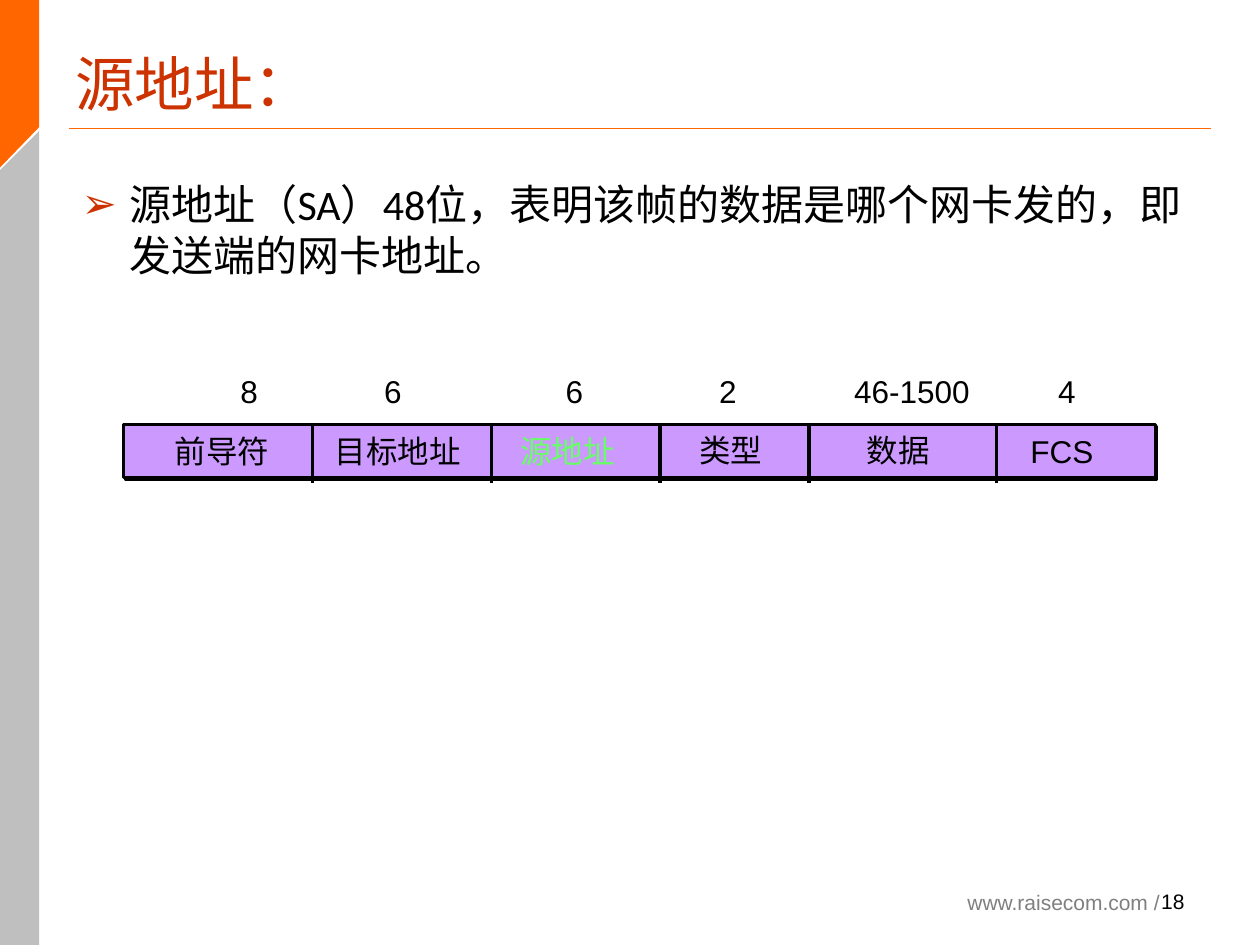
import pptx
import pptx.util
import pptx.dml.color
import pptx.enum.text
import pptx.enum.shapes
import pptx.oxml
import pptx.oxml.ns

TITLE = "源地址："
BODY = "源地址（SA）48位，表明该帧的数据是哪个网卡发的，即发送端的网卡地址。"
SITE = "www.raisecom.com /"
PAGE = "18"

FIELDS = [
    ("前导符", (1.29, 3.38, 0.95), "8", (1.81, 0.34)),
    ("目标地址", (2.56, 3.38, 1.2), "6", (2.95, 0.34)),
    ("源地址", (4.03, 3.38, 0.95), "6", (4.39, 0.34)),
    ("类型", (5.45, 3.37, 0.7), "2", (5.61, 0.34)),
    ("数据", (6.78, 3.37, 0.7), "46-1500", (6.68, 1.15)),
    ("FCS", (8.08, 3.38, 0.7), "4", (8.3, 0.34)),
]
ACTIVE = "源地址"
SPLITS = [2.48, 3.9, 5.24, 6.42, 7.91]
BAR = (0.98, 3.37, 8.19, 0.42)
BANDS = [
    ("gray", [(0, 1.35), (0.31, 1.04), (0.31, 7.5), (0, 7.5)]),
    ("orange", [(0, 1.33), (0.31, 1.01), (0.31, 0), (0, 0)]),
]

THEME = {
    "gray": "BFBFBF", "orange": "FF6600", "red": "CC3300", "site": "7F7F7F",
    "ink": "000000", "bar": "CC99FF", "active": "66FF66",
    "head": 34, "body": 24, "label": 18, "foot": 12,
    "sans": "Arial", "text": "Calibri", "cjk": "Noto Sans CJK SC",
}

Inches = pptx.util.Inches
Pt = pptx.util.Pt
ANCHOR = pptx.enum.text.MSO_ANCHOR
ALIGN = pptx.enum.text.PP_ALIGN
FIT = pptx.enum.text.MSO_AUTO_SIZE

deck = pptx.Presentation()
deck.slide_width, deck.slide_height = Inches(10), Inches(7.5)
slide = deck.slides.add_slide(deck.slide_layouts[6])
shapes = slide.shapes


def tint(name):
    return pptx.dml.color.RGBColor.from_string(THEME[name])


def node(tag, **attrs):
    part = pptx.oxml.parse_xml(f"<{tag} {pptx.oxml.ns.nsdecls('a')}/>")
    for key, value in attrs.items():
        part.set(key, str(value))
    return part


def write(text, box, size="label", color="ink", font="sans", wrap=True,
          anchor=ANCHOR.MIDDLE, align=ALIGN.LEFT, bullet=None):
    frame = shapes.add_textbox(*map(Inches, box)).text_frame
    frame.word_wrap = wrap
    frame.auto_size = FIT.NONE if wrap else FIT.SHAPE_TO_FIT_TEXT
    frame.vertical_anchor = anchor
    para = frame.paragraphs[0]
    para.alignment = align
    if bullet:
        props = para._p.get_or_add_pPr()
        props.set("marL", str(Inches(0.38)))
        props.set("indent", str(-Inches(0.38)))
        hue = node("a:buClr")
        hue.append(node("a:srgbClr", val=THEME["red"]))
        props.append(hue)
        props.append(node("a:buFont", typeface=THEME["sans"]))
        props.append(node("a:buChar", char=bullet))
    run = para.add_run()
    run.text = text
    run.font.size = Pt(THEME[size])
    run.font.color.rgb = tint(color)
    run.font.name = THEME[font]
    run._r.get_or_add_rPr().append(node("a:ea", typeface=THEME[font]))


def rule(x1, y1, x2, y2, color, width):
    line = shapes.add_connector(
        pptx.enum.shapes.MSO_CONNECTOR.STRAIGHT, *map(Inches, (x1, y1, x2, y2)))
    line.line.color.rgb = tint(color)
    line.line.width = Pt(width)
    line._element.spPr.append(node("a:effectLst"))


def band(color, points):
    dots = [(Inches(x), Inches(y)) for x, y in points]
    path = shapes.build_freeform(*dots[0])
    path.add_line_segments(dots[1:], close=True)
    shape = path.convert_to_shape()
    shape.shadow.inherit = False
    shape.fill.solid()
    shape.fill.fore_color.rgb = tint(color)
    shape.line.fill.background()


def frame_bar():
    bar = shapes.add_shape(
        pptx.enum.shapes.MSO_SHAPE.RECTANGLE, *map(Inches, BAR))
    bar.fill.solid()
    bar.fill.fore_color.rgb = tint("bar")
    bar.line.color.rgb = tint("ink")
    bar.line.width = Pt(1.5)
    shade = node("a:outerShdw", dist=Pt(1.4), dir=45 * 60000,
                 algn="ctr", rotWithShape=0)
    shade.append(node("a:srgbClr", val=THEME["ink"]))
    effects = node("a:effectLst")
    effects.append(shade)
    bar._element.spPr.append(effects)


for color, points in BANDS:
    band(color, points)
rule(0.55, 1.02, 9.61, 1.02, "orange", 0.75)
write(SITE, (7.58, 7.01, 2.03, 0.3), size="foot", color="site",
      anchor=ANCHOR.TOP)
write(TITLE, (0.5, 0.38, 9, 0.56), size="head", color="red", font="cjk")
write(BODY, (0.55, 1.37, 9.06, 1.67), size="body", font="text",
      anchor=ANCHOR.TOP, bullet="➢")
write(PAGE, (8.67, 6.95, 0.83, 0.4), size="foot", align=ALIGN.RIGHT)

frame_bar()
for name, spot, count, (left, width) in FIELDS:
    write(name, (*spot, 0.4), wrap=False,
          color="active" if name == ACTIVE else "ink")
    write(count, (left, 2.9, width, 0.4), wrap=False)
for x in SPLITS:
    rule(x, 3.37, x, 3.83, "ink", 2)

deck.save("out.pptx")
